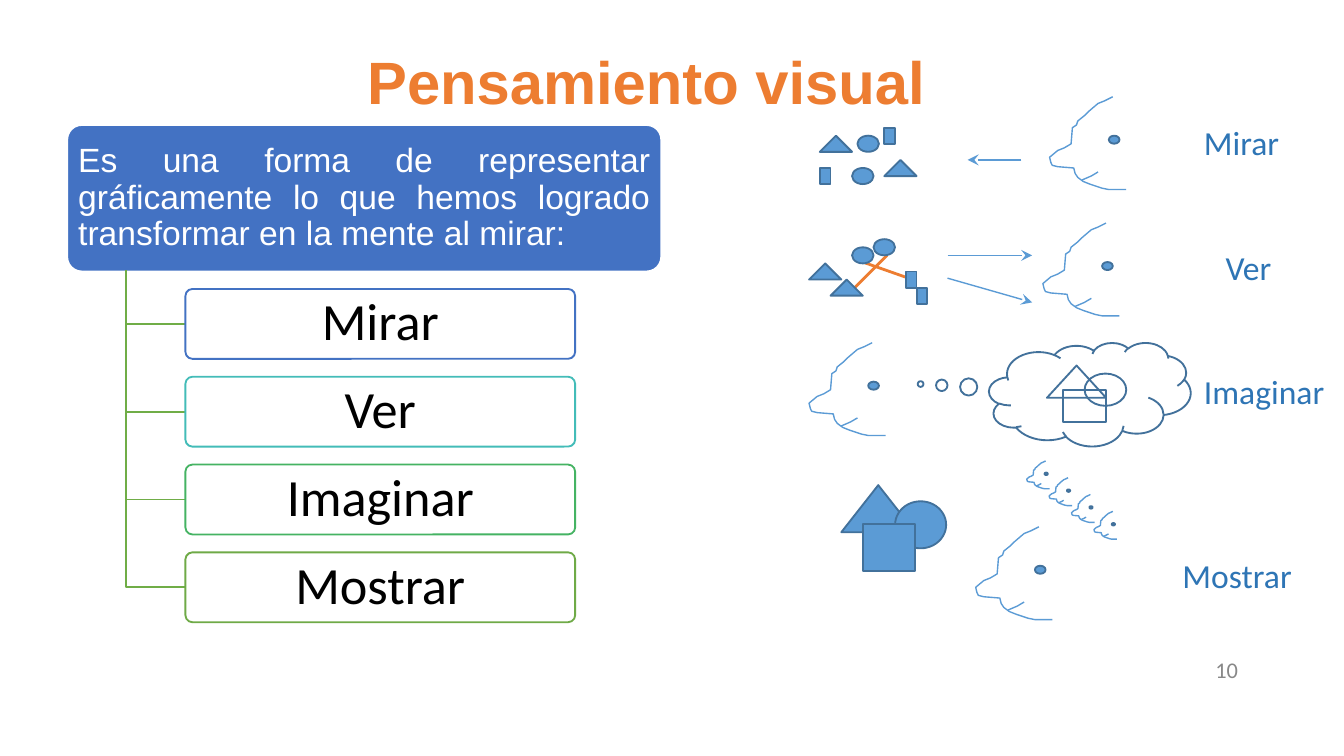
from lxml.etree import SubElement
from pptx import Presentation
from pptx.dml.color import RGBColor
from pptx.enum.shapes import MSO_CONNECTOR, MSO_SHAPE as SHAPE
from pptx.enum.text import MSO_ANCHOR as ANCHOR, MSO_AUTO_SIZE, PP_ALIGN as ALIGN
from pptx.oxml.ns import qn
from pptx.util import Inches, Pt

SLIDE_WIDTH = 10
SLIDE_HEIGHT = SLIDE_WIDTH * 9 / 16
BLUE, OUTLINE, ORANGE, GREEN, WHITE = "5B9BD5", "42719B", "ED7D31", "70AD47", "FFFFFF"
TRIANGLE, OVAL, BLOCK = SHAPE.ISOSCELES_TRIANGLE, SHAPE.OVAL, SHAPE.RECTANGLE
GLYPH_SIZE = {TRIANGLE: (3, 2), OVAL: (2, 2), BLOCK: (1, 2)}
COLUMN, ROW, GRID_LEFT = 0.08, 0.06, 6.02
FIRST_STEP, LAST_STEP, STEP_HEIGHT = 2.15, 4.11, 0.52
STEPS = [("Mirar", "4372C3"), ("Ver", "43BCB8"), ("Imaginar", "45B363"), ("Mostrar", "6FAA47")]
PROFILE = [(47, 0), (41, 3), (36, 5), (29, 11), (26, 14), (21, 18), (20, 21), (17, 23),
           (16, 35), (11, 38), (6, 40), (0, 45), (1, 49), (2, 51), (6, 52), (18, 53),
           (19, 57), (21, 60), (25, 63), (30, 65), (39, 68), (44, 69), (57, 69)]
MOUTH = [(24, 62), (31, 59), (36, 56)]
SEEN = [(TRIANGLE, 1, 1), (BLOCK, 7, 0), (OVAL, 4, 5), (TRIANGLE, 7, 4),
        (BLOCK, 1, 5), (OVAL, 4.5, 1)]
LINKED = [(TRIANGLE, 2, 5), (BLOCK, 9, 4), (OVAL, 6, 0), (TRIANGLE, 0, 3),
          (BLOCK, 10, 6), (OVAL, 4, 1)]


def color(hex_string):
    """Turn a hex string into a colour."""
    return RGBColor.from_string(hex_string)


def paint(item, fill, line, width):
    """Set fill and outline; a fill of None leaves the shape open."""
    item.shadow.inherit = False
    if fill:
        item.fill.solid()
        item.fill.fore_color.rgb = color(fill)
    else:
        item.fill.background()
    item.line.color.rgb = color(line)
    item.line.width = Pt(width)


def write(frame, words, size, ink, font="Calibri", align=ALIGN.LEFT, bold=False, spacing=1.0):
    """Write one formatted run in the first paragraph of a frame."""
    paragraph = frame.paragraphs[0]
    paragraph.alignment = align
    paragraph.line_spacing = spacing
    run = paragraph.add_run()
    run.text = words
    run.font.name, run.font.size, run.font.bold = font, Pt(size), bold
    run.font.color.rgb = color(ink)


def add_form(slide, kind, left, top, width, height, fill=BLUE, line=OUTLINE):
    """Add a preset shape."""
    form = slide.shapes.add_shape(kind, *map(Inches, (left, top, width, height)))
    paint(form, fill, line, 1)
    return form


def add_card(slide, place, fill, line, words, size, ink, font, align):
    """Add a rounded card with text."""
    card = add_form(slide, SHAPE.ROUNDED_RECTANGLE, *place, fill, line)
    card.adjustments[0] = 0.1
    frame = card.text_frame
    frame.word_wrap = True
    frame.vertical_anchor = ANCHOR.MIDDLE
    frame.margin_left = frame.margin_right = Inches(0.05)
    frame.margin_top = frame.margin_bottom = Inches(0.03)
    write(frame, words, size, ink, font, align, spacing=0.9)


def add_label(slide, words, left, top, width, size=18, ink="2E75B5", align=ALIGN.LEFT):
    """Add a one-line label."""
    label = slide.shapes.add_textbox(*map(Inches, (left, top, width, 0.3)))
    label.text_frame.word_wrap = align == ALIGN.RIGHT
    write(label.text_frame, words, size, ink, align=align)
    return label


def add_stroke(slide, points, line, width):
    """Add an open outline through points given in inches."""
    start, *rest = [(Inches(x), Inches(y)) for x, y in points]
    builder = slide.shapes.build_freeform(*start)
    builder.add_line_segments(rest, close=False)
    paint(builder.convert_to_shape(), None, line, width)


def add_link(slide, start, end, line=BLUE, width=0.75, arrow=True):
    """Add a straight line, with an arrowhead if wanted."""
    link = slide.shapes.add_connector(MSO_CONNECTOR.STRAIGHT, *map(Inches, start + end))
    link.line.color.rgb = color(line)
    link.line.width = Pt(width)
    properties = link._element.spPr
    if arrow:
        SubElement(properties.find(qn("a:ln")), qn("a:tailEnd"), type="stealth")
    SubElement(properties, qn("a:effectLst"))


def add_face(slide, left, top, scale=1.0):
    """Add a face in profile: outline, eye and mouth."""
    unit = scale / 100
    for points in (PROFILE, MOUTH):
        add_stroke(slide, [(left + x * unit, top + y * unit) for x, y in points], BLUE, 0.75)
    add_form(slide, OVAL, left + 44 * unit, top + 29 * unit, 8 * unit, 6 * unit)


def add_glyphs(slide, glyphs, top):
    """Place small glyphs on the column and row grid."""
    for kind, column, row in glyphs:
        columns, rows = GLYPH_SIZE[kind]
        add_form(slide, kind, GRID_LEFT + column * COLUMN, top + row * ROW,
                 columns * COLUMN, rows * ROW)


def add_hierarchy(slide):
    """Add the definition and the four steps that hang from it."""
    add_card(slide, (0.5, 0.93, 4.42, 1.09), "4372C3", WHITE,
             "Es una forma de representar gráficamente lo que hemos logrado "
             "transformar en la mente al mirar:", 18, WHITE, "Arial", ALIGN.JUSTIFY)
    pitch = (LAST_STEP - FIRST_STEP) / (len(STEPS) - 1)
    for index, (step, border) in enumerate(STEPS):
        top = FIRST_STEP + index * pitch
        middle = top + STEP_HEIGHT / 2
        add_stroke(slide, [(0.94, 2.01), (0.94, middle), (1.38, middle)], GREEN, 1)
        add_card(slide, (1.38, top, 2.9, STEP_HEIGHT), WHITE, border, step, 28, "000000",
                 "Calibri", ALIGN.CENTER)


def add_scenes(slide):
    """Add the four scenes: look, see, imagine and show."""
    add_glyphs(slide, SEEN, 0.95)
    add_link(slide, (7.6, 1.19), (7.2, 1.19))

    add_link(slide, (6.42, 1.95), (6.76, 2.07), ORANGE, 1.5, arrow=False)
    add_link(slide, (6.32, 2.18), (6.6, 1.9), ORANGE, 1.5, arrow=False)
    add_glyphs(slide, LINKED, 1.78)
    add_link(slide, (7.05, 1.9), (7.68, 1.9))
    add_link(slide, (7.05, 2.07), (7.68, 2.25))

    cloud = add_form(slide, SHAPE.CLOUD_CALLOUT, 7.36, 2.55, 1.5, 0.77, None)
    cloud.adjustments[0], cloud.adjustments[1] = -0.84, -0.1
    add_form(slide, TRIANGLE, 7.79, 2.72, 0.44, 0.24, None)
    add_form(slide, OVAL, 8.07, 2.78, 0.31, 0.24, None)
    add_form(slide, BLOCK, 7.91, 2.9, 0.32, 0.24, None)

    add_form(slide, TRIANGLE, 6.26, 3.61, 0.55, 0.35)
    add_form(slide, OVAL, 6.66, 3.73, 0.38, 0.35)
    add_form(slide, BLOCK, 6.42, 3.9, 0.39, 0.35)

    for left, top in [(7.81, 0.72), (7.76, 1.66), (6.02, 2.55), (7.26, 3.92)]:
        add_face(slide, left, top)
    for viewer in range(4):
        add_face(slide, 7.64 + viewer / 6, 3.43 + viewer / 8, 0.3)

    for words, left, top, width in [("Mirar", 8.86, 0.86, 0.78), ("Ver", 9.02, 1.79, 0.58),
                                    ("Imaginar", 8.86, 2.71, 1.18), ("Mostrar", 8.7, 4.08, 1.06)]:
        add_label(slide, words, left, top, width)


def main():
    """Build the slide and save it."""
    deck = Presentation()
    deck.slide_width, deck.slide_height = Inches(SLIDE_WIDTH), Inches(SLIDE_HEIGHT)
    slide = deck.slides.add_slide(deck.slide_layouts[5])
    title = slide.shapes.title
    title.left, title.top, title.width, title.height = map(Inches, (0.5, 0.09, 8.62, 1.09))
    title.text_frame.auto_size = MSO_AUTO_SIZE.NONE
    title.text_frame.vertical_anchor = ANCHOR.MIDDLE
    write(title.text_frame, "Pensamiento visual", 32, ORANGE, "Arial", ALIGN.CENTER, True, 0.9)
    add_hierarchy(slide)
    add_scenes(slide)
    number = add_label(slide, "10", 7.06, 4.83, 2.25, 12, "888888", ALIGN.RIGHT)
    number.text_frame.vertical_anchor = ANCHOR.MIDDLE
    deck.save("out.pptx")


if __name__ == "__main__":
    main()
